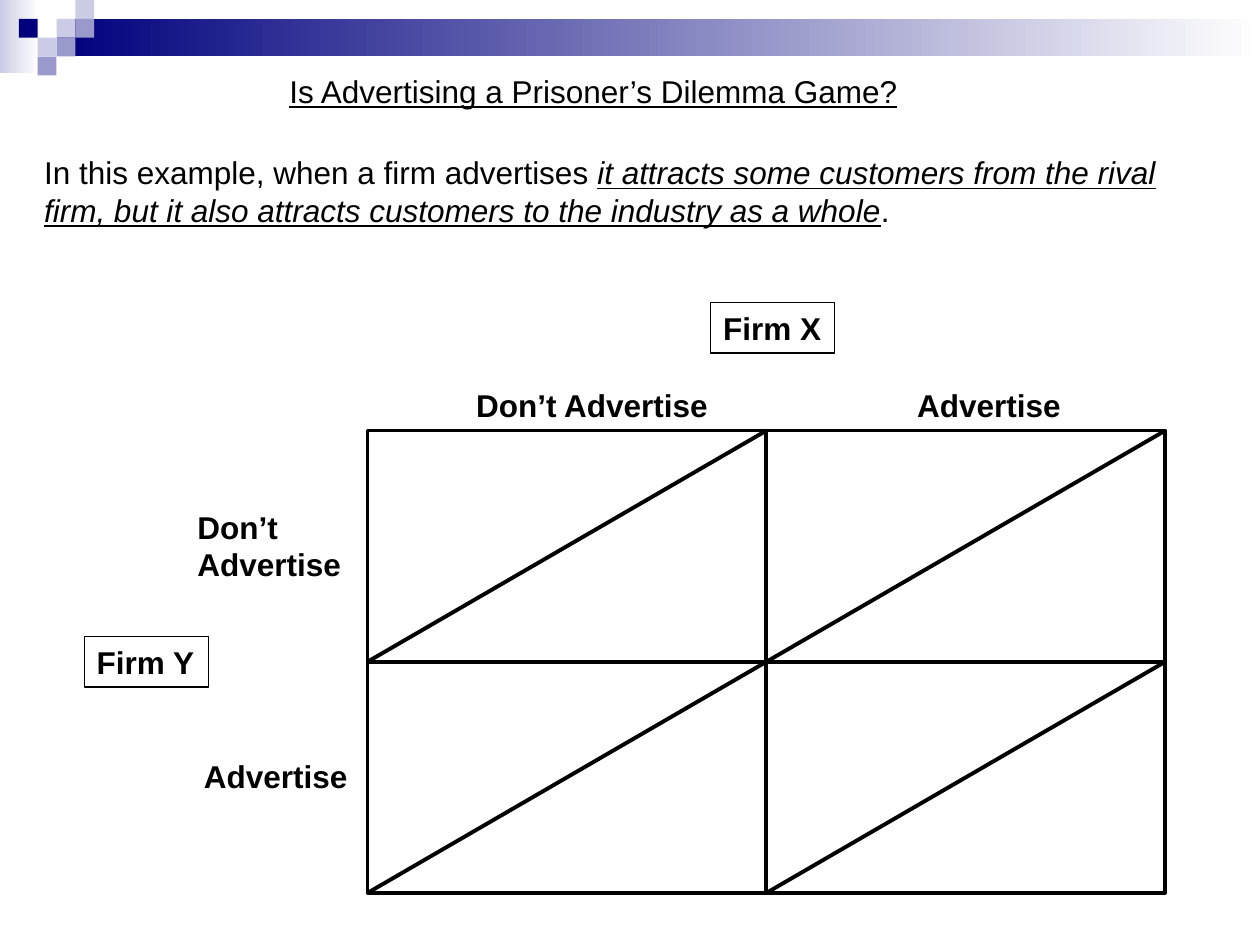
from lxml import etree
from pptx import Presentation
from pptx import util as u
from pptx.dml.color import RGBColor
from pptx.enum import shapes, text
from pptx.oxml import ns

COLORS = {"ink": "000000", "paper": "FFFFFF", "navy": "00007D",
          "lavender": "CCCCE6", "periwinkle": "9999CC"}
COLORS = {name: RGBColor.from_string(value) for name, value in COLORS.items()}

presentation = Presentation()
presentation.slide_width, presentation.slide_height = u.Cm(25.4), u.Cm(19.05)
slide = presentation.slides.add_slide(presentation.slide_layouts[6])


def add_rectangle(left, top, width, height, *fills):
    """Add a borderless rectangle with one solid fill or a two-colour gradient."""
    shape = slide.shapes.add_shape(shapes.MSO_SHAPE.RECTANGLE, u.Cm(left), u.Cm(top),
                                   u.Cm(width), u.Cm(height))
    shape.shadow.inherit = False
    shape.line.fill.background()
    if len(fills) == 1:
        shape.fill.solid()
        shape.fill.fore_color.rgb = COLORS[fills[0]]
    else:
        shape.fill.gradient()
        shape.fill.gradient_angle = 0
        for stop, name in zip(shape.fill.gradient_stops, fills):
            stop.color.rgb = COLORS[name]
    return shape


def add_text(left, top, width, height, runs, wrap=True, align=text.PP_ALIGN.LEFT):
    """Add a text box whose runs are pairs of wording and font format."""
    shape = slide.shapes.add_textbox(u.Cm(left), u.Cm(top), u.Cm(width), u.Cm(height))
    shape.text_frame.word_wrap = wrap
    shape.text_frame.auto_size = text.MSO_AUTO_SIZE.SHAPE_TO_FIT_TEXT
    paragraph = shape.text_frame.paragraphs[0]
    paragraph.alignment = align
    for wording, font_format in runs:
        run = paragraph.add_run()
        run.text = wording
        run.font.color.rgb = COLORS["ink"]
        for name, value in {"name": "Arial", "size": u.Pt(18), **font_format}.items():
            setattr(run.font, name, value)
    return shape


# Header band with its mosaic of squares
add_rectangle(0, 0, 0.79, 1.47, "lavender", "paper")
add_rectangle(1.14, 0.38, 24.26, 0.76, "navy", "paper")
square = 0.38
mosaic = [(3, 1, "lavender"), (4, 0, "lavender"), (4, 1, "periwinkle"),
          (2, 2, "lavender"), (1, 1, "navy"), (3, 2, "periwinkle"), (2, 3, "periwinkle")]
for column, row, color in mosaic:
    add_rectangle(column * square, row * square, square, square, color)

# Title and explanation
add_text(3.61, 1.32, 16.71, 1.02,
         [("Is Advertising a Prisoner’s Dilemma Game?", {"underline": True})],
         align=text.PP_ALIGN.CENTER)
add_text(0.64, 2.97, 23.06, 1.8, [
    ("In this example, when a firm advertises ", {}),
    ("it attracts some customers from the rival firm, but it also attracts customers "
     "to the industry as a whole", {"italic": True, "underline": True}),
    (".", {}),
])

# Payoff matrix: two by two cells, each split by a diagonal
left, top, cell_width, cell_height = 7.41, 8.68, 8.04, 4.66
right, bottom = left + 2 * cell_width, top + 2 * cell_height
middle_x, middle_y = left + cell_width, top + cell_height
frame = add_rectangle(left, top, 2 * cell_width, 2 * cell_height, "paper")
frame.line.color.rgb = COLORS["ink"]
frame.line.width = u.Pt(2)

matrix_lines = [(middle_x, top, middle_x, bottom), (left, middle_y, right, middle_y)]
for y in (top, middle_y):
    for x in (left, middle_x):
        matrix_lines.append((x, y + cell_height, x + cell_width, y))
for ends in matrix_lines:
    connector = slide.shapes.add_connector(shapes.MSO_CONNECTOR.STRAIGHT,
                                           *[u.Cm(length) for length in ends])
    connector.line.color.rgb = COLORS["ink"]
    connector.line.width = u.Pt(2.25)
    etree.SubElement(connector._element.spPr, ns.qn("a:effectLst"))

# Strategy labels and boxed firm names
labels = [
    ("Don’t Advertise", 9.35, 7.65, 5.23, 1.02, False, False),
    ("Advertise", 18.24, 7.65, 3.43, 1.02, False, False),
    ("Advertise", 3.86, 15.14, 3.43, 1.02, False, False),
    ("Don’t Advertise", 3.73, 10.11, 3.56, 1.8, True, False),
    ("Firm X", 14.33, 6.1, 2.5, 1.02, False, True),
    ("Firm Y", 1.7, 12.83, 2.5, 1.02, False, True),
]
for wording, x, y, width, height, wrap, boxed in labels:
    label = add_text(x, y, width, height, [(wording, {"bold": True})], wrap)
    if boxed:
        label.line.color.rgb = COLORS["ink"]
        label.line.width = u.Pt(0.75)

presentation.save("out.pptx")
